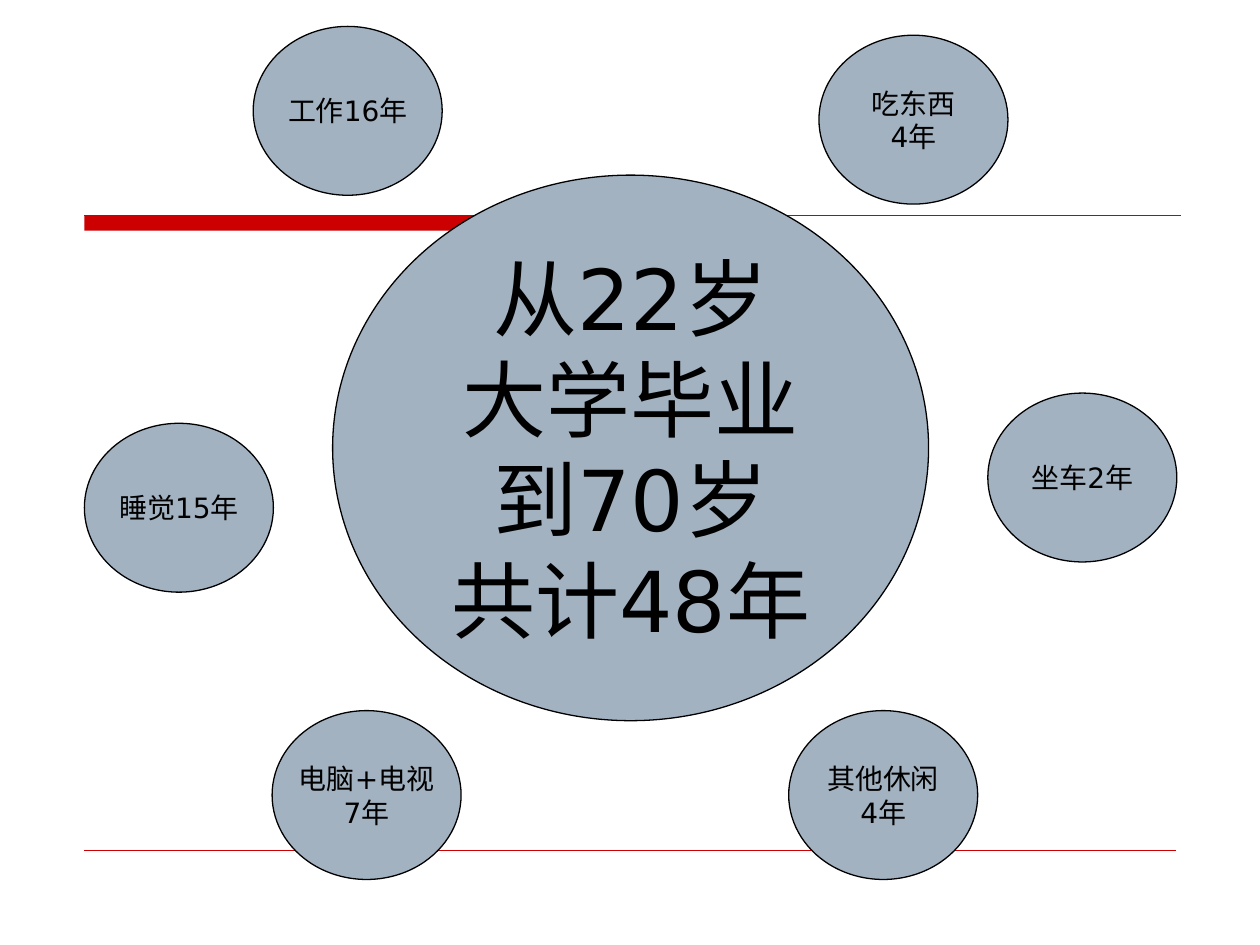
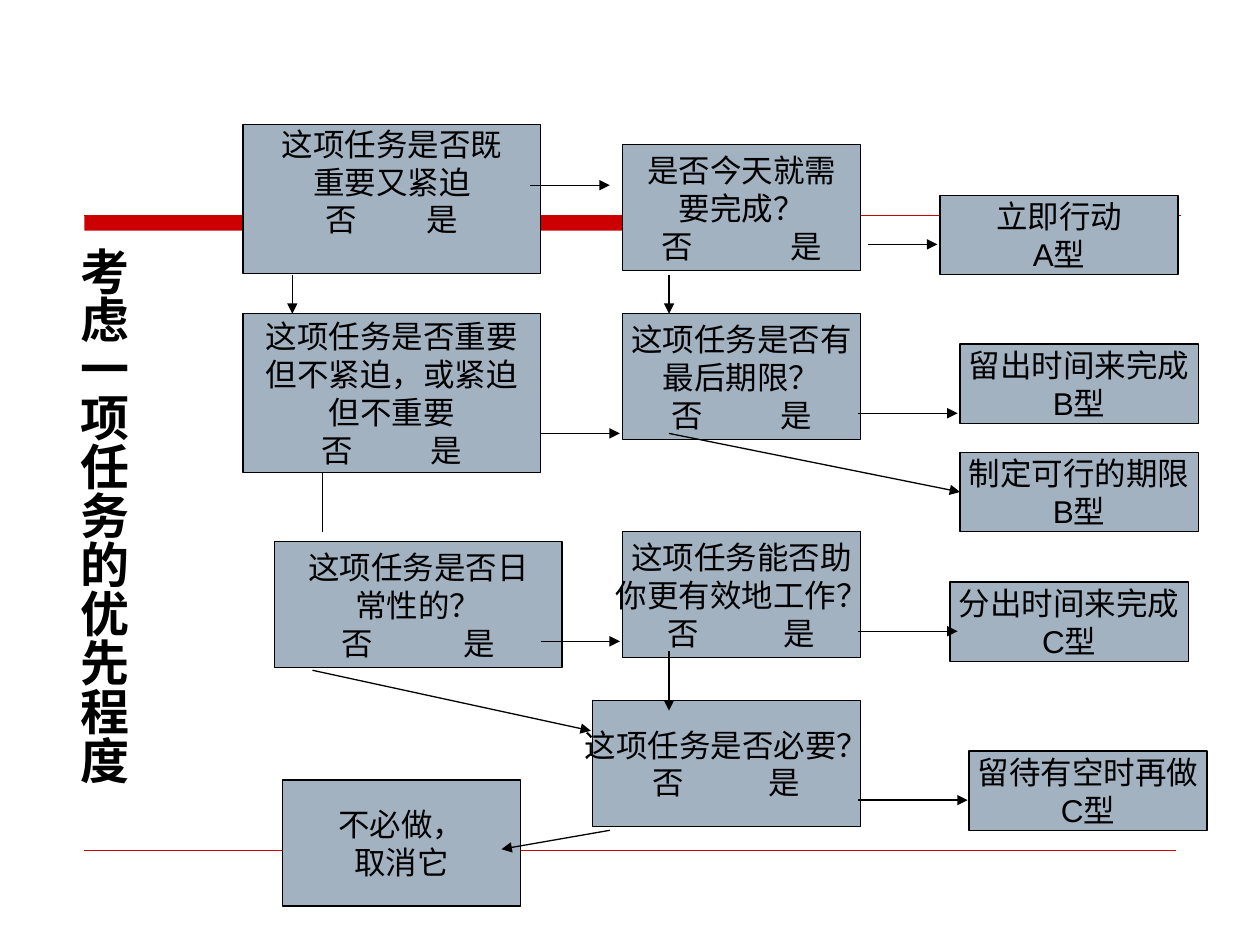
from pptx import Presentation
from pptx.dml.color import RGBColor
from pptx.enum import shapes, text
from pptx.oxml.ns import qn
from pptx.util import Inches, Pt
from lxml import etree

RED, STEEL, BLACK = "CC0000", "A3B2C1", "000000"
CIRCLE_FONT, FLOW_FONT = "DejaVu Sans", "Arial"
SPACE_WIDTH = 4  # points taken by one space in an answer row


def color(hex_value):
    return RGBColor.from_string(hex_value)


def add_run(paragraph, words, size, font, bold=False):
    run = paragraph.add_run()
    run.text = words
    run.font.size = Pt(size)
    run.font.name = font
    run.font.bold = bold
    run.font.color.rgb = color(BLACK)
    return run


def add_answers(paragraph, gap, size, font):
    """Write 否 and 是, one widened space apart."""
    add_run(paragraph, "否", size, font)
    space = add_run(paragraph, " ", size, font)
    space.font._element.set("spc", str((gap - 1) * SPACE_WIDTH * 100))
    add_run(paragraph, "是", size, font)


def add_node(slide, kind, place, lines, size, font, gap=0):
    node = slide.shapes.add_shape(kind, *map(Inches, place))
    node.shadow.inherit = False
    node.fill.solid()
    node.fill.fore_color.rgb = color(STEEL)
    node.line.color.rgb = color(BLACK)
    node.line.width = Pt(0.75)
    frame = node.text_frame
    frame.word_wrap = False
    frame.vertical_anchor = text.MSO_ANCHOR.MIDDLE
    rows = lines + [None] if gap else lines
    for i, row in enumerate(rows):
        paragraph = frame.add_paragraph() if i else frame.paragraphs[0]
        paragraph.alignment = text.PP_ALIGN.CENTER
        if row is None:
            add_answers(paragraph, gap, size, font)
        else:
            add_run(paragraph, row, size, font)
    return node


def add_line(slide, start, end, hex_value=BLACK, width=0.75, arrow=False):
    line = slide.shapes.add_connector(shapes.MSO_CONNECTOR.STRAIGHT,
                                      *map(Inches, start + end))
    line.line.color.rgb = color(hex_value)
    line.line.width = Pt(width)
    properties = line._element.spPr
    if arrow:
        head = etree.SubElement(properties.find(qn("a:ln")), qn("a:tailEnd"))
        head.set("type", "triangle")
    etree.SubElement(properties, qn("a:effectLst"))
    return line


def add_page(prs):
    """Blank slide with the red band and the two thin rules."""
    slide = prs.slides.add_slide(prs.slide_layouts[6])
    band = slide.shapes.add_shape(shapes.MSO_SHAPE.RECTANGLE, Inches(0.67),
                                  Inches(1.71), Inches(5.09), Inches(0.12))
    band.shadow.inherit = False
    band.fill.solid()
    band.fill.fore_color.rgb = color(RED)
    band.line.fill.background()
    add_line(slide, (0.67, 1.71), (9.37, 1.71), RED)
    add_line(slide, (0.67, 6.75), (9.33, 6.75), RED, 0.25)
    return slide


def add_vertical_title(slide, words):
    title = slide.shapes.add_textbox(Inches(0.44), Inches(1.86),
                                     Inches(0.66), Inches(4.65))
    frame = title.text_frame
    frame.word_wrap = True
    frame.margin_left = frame.margin_right = Inches(0.05)
    frame.margin_top = frame.margin_bottom = Inches(0.1)
    frame._txBody.bodyPr.set("vert", "eaVert")
    frame.paragraphs[0].alignment = text.PP_ALIGN.CENTER
    add_run(frame.paragraphs[0], words, 28, CIRCLE_FONT, bold=True)


def build_years(prs):
    slide = add_page(prs)
    oval = shapes.MSO_SHAPE.OVAL
    add_node(slide, oval, (2.64, 1.39, 4.73, 4.33),
             ["从22岁", "大学毕业", "到70岁", "共计48年"], 48, CIRCLE_FONT)
    activities = [
        (6.26, 5.64, ["其他休闲", "4年"]),
        (2.16, 5.64, ["电脑+电视", "7年"]),
        (0.67, 3.36, ["睡觉15年"]),
        (2.01, 0.21, ["工作16年"]),
        (7.84, 3.12, ["坐车2年"]),
        (6.5, 0.28, ["吃东西", "4年"]),
    ]
    for left, top, lines in activities:
        add_node(slide, oval, (left, top, 1.5, 1.34), lines, 16, CIRCLE_FONT)


def build_priorities(prs):
    slide = add_page(prs)
    rectangle = shapes.MSO_SHAPE.RECTANGLE

    # Questions: place, lines, spaces between the answers
    questions = [
        ((1.93, 0.99, 2.36, 1.18), ["这项任务是否既", "重要又紧迫"], 10),
        ((4.94, 1.15, 1.89, 1), ["是否今天就需", "要完成？"], 14),
        ((4.94, 2.49, 1.89, 1), ["这项任务是否有", "最后期限？"], 11),
        ((1.93, 2.49, 2.36, 1.26),
         ["这项任务是否重要", "但不紧迫，或紧迫", "但不重要"], 11),
        ((2.18, 4.3, 2.28, 1), ["这项任务是否日", "常性的？"], 13),
        ((4.94, 4.22, 1.89, 1), ["这项任务能否助", "你更有效地工作？"], 12),
        ((4.7, 5.56, 2.13, 1), ["这项任务是否必要？"], 12),
    ]
    question_nodes = [add_node(slide, rectangle, place, lines, 18, FLOW_FONT, gap)
                      for place, lines, gap in questions]
    first_frame = question_nodes[0].text_frame
    first_frame.vertical_anchor = text.MSO_ANCHOR.TOP
    first_frame.margin_top = 0

    # Outcomes
    outcomes = [
        (7.46, 1.55, 0.63, ["立即行动", "A型"]),
        (7.62, 2.73, 0.63, ["留出时间来完成", "B型"]),
        (7.62, 3.59, 0.63, ["制定可行的期限", "B型"]),
        (7.54, 4.62, 0.63, ["分出时间来完成", "C型"]),
        (7.69, 5.96, 0.63, ["留待有空时再做", "C型"]),
        (2.24, 6.19, 1, ["不必做，", "取消它"]),
    ]
    outcome_nodes = [add_node(slide, rectangle, (left, top, 1.89, height),
                              lines, 18, FLOW_FONT)
                     for left, top, height, lines in outcomes]
    add_vertical_title(slide, "考虑一项任务的优先程度")

    # Routes between the boxes
    routes = [
        ((2.48, 5.32), (4.69, 5.8)),
        ((4.21, 1.47), (4.84, 1.47)),
        ((6.89, 1.94), (7.44, 1.94)),
        ((5.31, 2.18), (5.31, 2.49)),
        ((2.32, 2.18), (2.32, 2.49)),
        ((4.29, 3.44), (4.92, 3.44)),
        ((6.81, 3.28), (7.6, 3.28)),
        ((4.29, 5.09), (4.92, 5.09)),
        ((6.81, 5.01), (7.6, 5.01)),
        ((6.81, 6.35), (7.68, 6.35)),
        ((5.31, 5.17), (5.31, 5.64)),
        ((4.84, 6.59), (3.98, 6.74)),
    ]
    for start, end in routes:
        add_line(slide, start, end, arrow=True)
    add_line(slide, (2.56, 3.75), (2.56, 4.22))
    set_deadline = add_line(slide, (5.31, 3.44), (7.62, 3.91), arrow=True)
    set_deadline.end_connect(outcome_nodes[2], 1)


def main():
    prs = Presentation()
    prs.slide_width, prs.slide_height = Inches(10), Inches(7.5)
    build_years(prs)
    build_priorities(prs)
    prs.save("out.pptx")


if __name__ == "__main__":
    main()
